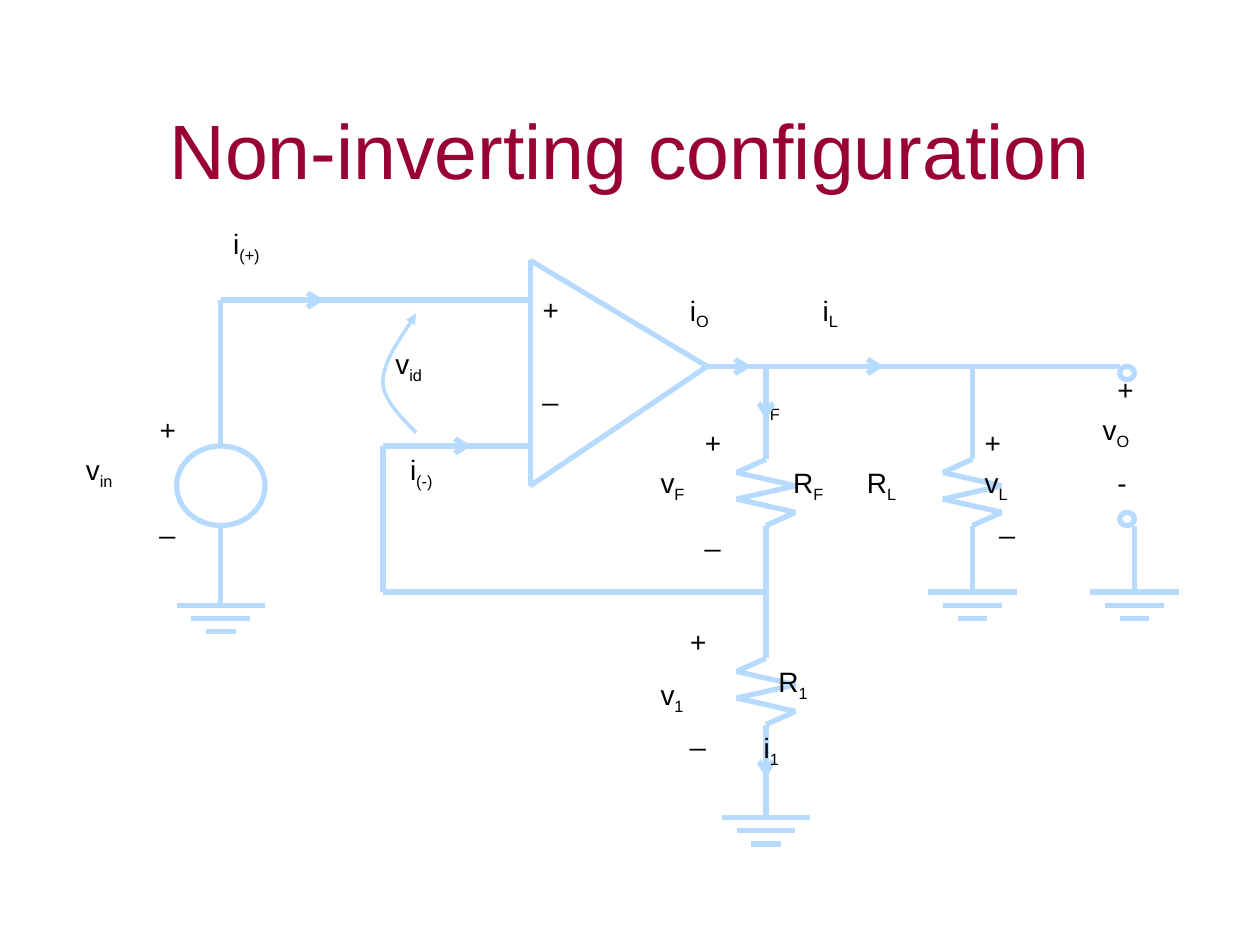
import pptx
import pptx.dml.color
import pptx.enum.shapes
import pptx.enum.text
import pptx.oxml.ns
import pptx.oxml.xmlchemy
import pptx.util

Pt = pptx.util.Pt
qn = pptx.oxml.ns.qn
make = pptx.oxml.xmlchemy.OxmlElement
BLUE, BLACK, WHITE, WINE = "B7DBFF", "000000", "FFFFFF", "990033"
COLS, ROWS = 75, 47


def paint(hue):
    return pptx.dml.color.RGBColor.from_string(hue)


def add_run(para, text, size, hue, sub=False):
    run = para.add_run()
    run.text = text
    run.font.size = Pt(size)
    run.font.name = "Arial"
    run.font.color.rgb = paint(hue)
    if sub:
        run._r.get_or_add_rPr().set("baseline", "-25000")


def stroke(item, width=3, head=None):
    item.line.color.rgb = paint(BLUE)
    item.line.width = Pt(width)
    if head:
        tail = make("a:tailEnd")
        tail.set("type", head)
        item._element.spPr.find(qn("a:ln")).append(tail)


class Board:
    """Circuit parts, placed by column and row on a grid that fills a box."""

    def __init__(self, slide, left, top, width, height):
        self.shapes = slide.shapes.add_group_shape().shapes
        self.left, self.top = left, top
        self.dx, self.dy = width / COLS, height / ROWS

    def spot(self, col, row):
        return Pt(self.left + col * self.dx), Pt(self.top + row * self.dy)

    def wire(self, *points, head=None):
        for start, end in zip(points, points[1:]):
            line = self.shapes.add_connector(
                pptx.enum.shapes.MSO_CONNECTOR.STRAIGHT,
                *self.spot(*start), *self.spot(*end))
            stroke(line, head=head)
            line._element.spPr.append(make("a:effectLst"))

    def arrow(self, start, end):
        self.wire(start, end, head="arrow")

    def label(self, col, row, text, sub=""):
        width, height = (8 * self.dx, 29.5) if sub else (5 * self.dx, 26.6)
        frame = self.shapes.add_textbox(
            *self.spot(col, row), Pt(width), Pt(height)).text_frame
        frame.word_wrap = True
        frame.auto_size = pptx.enum.text.MSO_AUTO_SIZE.SHAPE_TO_FIT_TEXT
        para = frame.paragraphs[0]
        add_run(para, text, 16, BLACK)
        if sub:
            add_run(para, sub, 16, BLACK, sub=True)

    def ring(self, col, row, cols, rows, fill=None):
        ring = self.shapes.add_shape(
            pptx.enum.shapes.MSO_SHAPE.OVAL, *self.spot(col, row),
            Pt(cols * self.dx), Pt(rows * self.dy))
        ring.shadow.inherit = False
        if fill:
            ring.fill.solid()
            ring.fill.fore_color.rgb = paint(fill)
        else:
            ring.fill.background()
        stroke(ring)

    def ground(self, col, row):
        for step, half in enumerate((3, 2, 1)):
            self.wire((col - half, row + step), (col + half, row + step))

    def resist(self, col, row):
        shifts = (0, -2, 2, -2, 2, 0)
        self.wire(*[(col + dx, row + dy) for dy, dx in enumerate(shifts)])

    def curve(self, start, *points):
        """Draw an arrow of cubic pieces, three points to each."""
        pen = self.shapes.build_freeform(*self.spot(*start))
        pen.add_line_segments([self.spot(*p) for p in points], close=False)
        arc = pen.convert_to_shape()
        lines = list(arc._element.iter(qn("a:lnTo")))
        for i in range(0, len(lines), 3):
            bend = make("a:cubicBezTo")
            lines[i].addprevious(bend)
            for line in lines[i:i + 3]:
                bend.append(line[0])
                line.getparent().remove(line)
        arc.shadow.inherit = False
        arc.fill.background()
        stroke(arc, 2, "triangle")


def add_title(slide, left, top, width, height):
    title = slide.shapes.title
    title.left, title.top = Pt(left), Pt(top)
    title.width, title.height = Pt(width), Pt(height)
    frame = title.text_frame
    frame.auto_size = pptx.enum.text.MSO_AUTO_SIZE.NONE
    frame.vertical_anchor = pptx.enum.text.MSO_ANCHOR.BOTTOM
    frame.margin_left = frame.margin_right = frame.margin_bottom = 0
    frame.margin_top = Pt(3.6)
    para = frame.paragraphs[0]
    para.alignment = pptx.enum.text.PP_ALIGN.CENTER
    add_run(para, "Non-inverting configuration", 44, WINE)


def add_source(board):
    board.wire((31, 6), (10, 6), (10, 17))
    board.ring(7, 17, 6, 6)
    board.wire((10, 23), (10, 29))
    board.ground(10, 29)
    board.arrow((11, 6), (17, 6))
    board.label(10, 0, "i", "(+)")
    board.label(0, 17, "v", "in")
    board.label(5, 14, "+")
    board.label(5, 21, "_")


def add_amp(board):
    board.wire((31, 3), (31, 20), (43, 11), (31, 3))
    board.label(31, 5, "+")
    board.label(31, 11, "_")
    board.curve((23.25, 16), (22.8, 15.4), (21, 13.7), (21, 12.2),
                (21, 10.6), (22.7, 8.1), (23.25, 7))
    board.label(21, 9, "v", "id")


def add_loop(board):
    """Feedback path through both resistors down to ground."""
    board.wire((31, 17), (21, 17), (21, 28), (47, 28))
    board.arrow((21, 17), (27, 17))
    board.label(22, 17, "i", "(-)")
    board.label(46, 12, "i", "F")
    board.wire((47, 11), (47, 18))
    board.resist(47, 18)
    board.wire((47, 23), (47, 33))
    board.resist(47, 33)
    board.wire((47, 38), (47, 45))
    board.ground(47, 45)
    board.arrow((47, 11), (47, 15))
    board.arrow((47, 39), (47, 42))
    board.label(46, 38, "i", "1")
    board.label(48, 18, "R", "F")
    board.label(47, 33, "R", "1")
    board.label(39, 18, "v", "F")
    board.label(42, 15, "+")
    board.label(42, 22, "_")
    board.label(39, 34, "v", "1")
    board.label(41, 30, "+")
    board.label(41, 37, "_")


def add_load(board):
    board.wire((61, 11), (61, 18))
    board.resist(61, 18)
    board.wire((61, 23), (61, 28))
    board.ground(61, 28)
    board.label(53, 18, "R", "L")
    board.label(61, 18, "v", "L")
    board.label(61, 15, "+")
    board.label(62, 21, "_")


def add_output(board):
    board.wire((43, 11), (71, 11))
    board.arrow((43, 11), (46, 11))
    board.arrow((52, 11), (55, 11))
    board.label(41, 5, "i", "O")
    board.label(50, 5, "i", "L")
    board.wire((72, 23), (72, 28))
    board.ground(72, 28)
    for row in (11, 22):
        board.ring(71, row, 1, 1, WHITE)
    board.label(70, 11, "+")
    board.label(69, 14, "v", "O")
    board.label(70, 18, "-")


def main():
    deck = pptx.Presentation()
    deck.slide_width, deck.slide_height = Pt(720), Pt(540)
    slide = deck.slides.add_slide(deck.slide_layouts[5])
    add_title(slide, 36, 21.6, 648, 90)
    board = Board(slide, 42, 126, 631.5, 356.26)
    for part in (add_amp, add_source, add_loop, add_load, add_output):
        part(board)
    deck.save("out.pptx")


if __name__ == "__main__":
    main()
